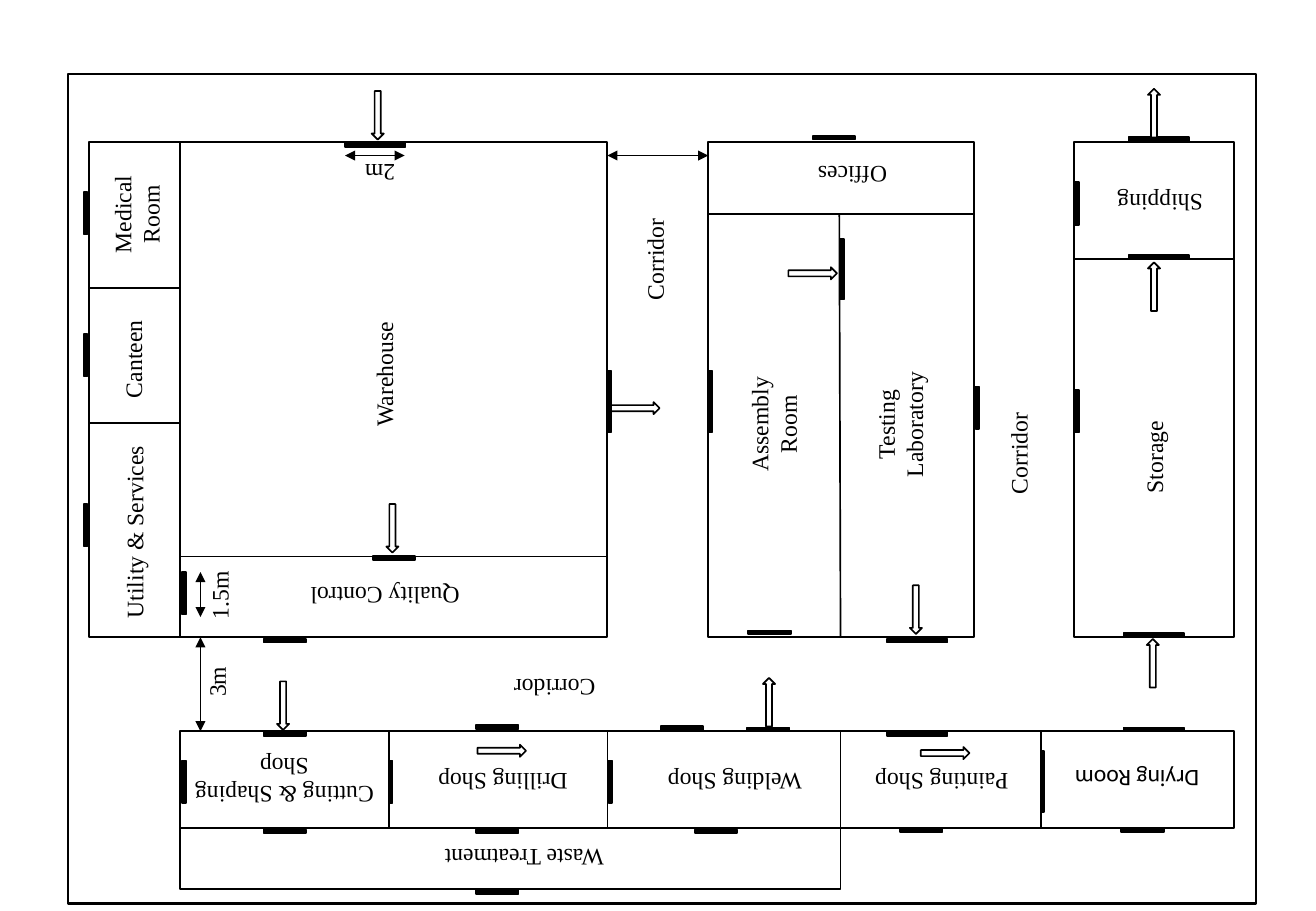
from lxml import etree
from pptx import Presentation
from pptx.dml.color import RGBColor
from pptx.enum.shapes import MSO_CONNECTOR, MSO_SHAPE
from pptx.enum.text import PP_ALIGN
from pptx.oxml.ns import qn
from pptx.util import Pt

RECT, ARROW = MSO_SHAPE.RECTANGLE, MSO_SHAPE.DOWN_ARROW
STRAIGHT = MSO_CONNECTOR.STRAIGHT
LEFT, CENTER = PP_ALIGN.LEFT, PP_ALIGN.CENTER

THEME = {
    "ink": RGBColor(0, 0, 0),
    "paper": RGBColor(255, 255, 255),
    "serif": "Times New Roman",
    "sans": "Calibri",
    "size": 14,
}

prs = Presentation()
prs.slide_width, prs.slide_height = Pt(780), Pt(540)
s = prs.slides.add_slide(prs.slide_layouts[6])


def add_block(kind, x, y, w, h, fill="paper", weight=1, turn=0):
    """Add an outlined shape by its top left corner."""
    sp = s.shapes.add_shape(kind, Pt(x), Pt(y), Pt(w), Pt(h))
    sp.shadow.inherit = False
    sp.fill.solid()
    sp.fill.fore_color.rgb = THEME[fill]
    sp.line.color.rgb = THEME["ink"]
    sp.line.width = Pt(weight)
    sp.rotation = turn


def add_line(x1, y1, x2, y2, weight=1, arrows=False):
    """Add a straight line, with arrowheads at both ends if asked."""
    line = s.shapes.add_connector(STRAIGHT, Pt(x1), Pt(y1), Pt(x2), Pt(y2))
    line.line.color.rgb = THEME["ink"]
    line.line.width = Pt(weight)
    if arrows:
        ln = line.line._get_or_add_ln()
        for end in ("a:headEnd", "a:tailEnd"):
            etree.SubElement(ln, qn(end), type="triangle")
    etree.SubElement(line._element.spPr, qn("a:effectLst"))


# Shared levels of the floor plan
TOP, HALL_TOP, SHOP_TOP, SHOP_END = 84.2, 377.8, 433.4, 491
DEPTH = HALL_TOP - TOP

# Site boundary, then buildings: left, top, width, height
add_block(RECT, 40.3, 43.9, 704.2, 491.8, weight=1.5)
buildings = [
    (106.6, TOP, 253.4, DEPTH),
    (106.6, SHOP_TOP, 625, SHOP_END - SHOP_TOP),
    (419.8, TOP, 157.7, DEPTH),
    (636.5, TOP, 95, DEPTH),
    (106.6, SHOP_END, 391.7, 36),
    (52.6, TOP, 54, DEPTH),
]
for building in buildings:
    add_block(RECT, *building)

# Inner walls
walls = [
    (419.8, 126.7, 577.5, 126.7),
    (498.2, HALL_TOP, 497.5, 126.7),
    (106.6, 329.8, 360, 329.8),
    (636.5, 153.4, 731.5, 153.4),
    (52.6, 250.6, 106.6, 250.6),
    (52.6, 170.6, 106.6, 170.6),
]
walls += [(x, SHOP_TOP, x, SHOP_END) for x in (230.4, 360, 498.2, 617)]
for wall in walls:
    add_line(*wall)

# Door centres, grouped by door length and turn
WIDE, NARROW, DOOR_DEPTH = 36, 25.2, 2.2
doors = {
    (WIDE, 0): [
        (684, 376.2), (686.9, 82.4), (684, 432.4), (686.9, 152.3),
        (543.6, 435.2), (543.6, 379.8), (222.5, 86),
    ],
    (WIDE, 90): [(499, 159.5), (421.2, 238), (361.4, 238), (617.8, 463.3)],
    (NARROW, 0): [
        (233.6, 330.8), (168.8, 379.8), (168.8, 435.2), (455.4, 432.4),
        (456.1, 374.8), (168.8, 492.8), (294.8, 492.8), (424.4, 492.8),
        (294.8, 528.8), (294.8, 430.9), (404.3, 431.6), (546.1, 492.1),
        (677.2, 492.1), (494.3, 81.7),
    ],
    (NARROW, 90): [
        (231.5, 463.3), (361.8, 463.3), (109.1, 351.7), (50.8, 126.4),
        (50.8, 210.6), (50.8, 311.4), (109.1, 463.3), (579.2, 241.6),
        (638.3, 120.6), (638.3, 243.7),
    ],
}
for (length, turn), centres in doors.items():
    for cx, cy in centres:
        add_block(RECT, cx - length / 2, cy - DOOR_DEPTH / 2, length,
                  DOOR_DEPTH, fill="ink", turn=turn)

# Material flow: arrow centres by turn of a down arrow
FLOW_W, FLOW_H = 7.2, 28.8
flows = {
    0: [(223.9, 68.4), (542.9, 361.4), (167.8, 418.3), (232.6, 313.2)],
    180: [(683.3, 393.1), (455.8, 416.2), (684, 169.9), (684, 67)],
    270: [(297.4, 445), (481.7, 162), (376.6, 241.9), (560.2, 446.4)],
}
for turn, centres in flows.items():
    for cx, cy in centres:
        add_block(ARROW, cx - FLOW_W / 2, cy - FLOW_H / 2, FLOW_W, FLOW_H,
                  turn=turn)

# Dimension lines
dimensions = [
    (360, 92.2, 419.8, 92.2),
    (118.8, HALL_TOP, 118.8, SHOP_TOP),
    (204.5, 92.2, 239.8, 92.2),
    (118.8, 339.1, 118.8, 365.8),
]
for dimension in dimensions:
    add_line(*dimension, weight=0.5, arrows=True)

# Labels: text, centre x, centre y, width, turn, height, alignment
ONE, TWO = 24.2, 41.4
labels = [
    ("Warehouse", 227.5, 206.6, 106.6, 270, ONE, LEFT),
    ("Quality Control", 199.1, 353.5, 160.6, 180, ONE, LEFT),
    ("Assembly Room", 458.6, 251.6, 104, 270, TWO, CENTER),
    ("Testing Laboratory", 533.5, 251.6, 108, 270, TWO, CENTER),
    ("Storage", 684, 252, 95, 270, ONE, LEFT),
    ("Shipping", 674.6, 121, 90.7, 180, ONE, LEFT),
    ("Offices", 475.2, 104.4, 115.2, 180, ONE, LEFT),
    ("Utility & Services", 79.6, 315.4, 139, 270, ONE, CENTER),
    ("Waste Treatment", 248, 509, 234, 180, ONE, LEFT),
    ("Cutting & Shaping Shop", 168.5, 463.3, 145.4, 180, TWO, CENTER),
    ("Drilling Shop", 283, 463.7, 121, 180, ONE, LEFT),
    ("Welding Shop", 421.2, 463.7, 122.4, 180, ONE, LEFT),
    ("Painting Shop", 543.6, 463.7, 122.4, 180, ONE, LEFT),
    ("Drying Room", 658.4, 462.2, 118.8, 180, ONE, LEFT),
    ("Canteen", 78.8, 202.3, 81.4, 270, ONE, LEFT),
    ("Medical Room", 81, 127.1, 84.2, 270, TWO, CENTER),
    ("Corridor", 320, 408.2, 79.9, 180, ONE, LEFT),
    ("Corridor", 388.1, 146.2, 77.8, 270, ONE, LEFT),
    ("Corridor", 603.7, 259.2, 81.4, 270, ONE, LEFT),
    ("2m", 220, 103, 42.5, 180, ONE, LEFT),
    ("1.5m", 130, 348.5, 51, 270, ONE, LEFT),
    ("3m", 128.5, 391, 58.3, 270, ONE, LEFT),
]
for text, cx, cy, w, turn, h, align in labels:
    box = s.shapes.add_textbox(Pt(cx - w / 2), Pt(cy - h / 2), Pt(w), Pt(h))
    box.rotation = turn
    tf = box.text_frame
    tf.word_wrap = True
    p = tf.paragraphs[0]
    p.text = text
    p.alignment = align
    p.font.name = THEME["sans" if text == "Drying Room" else "serif"]
    p.font.size = Pt(THEME["size"])
    p.font.color.rgb = THEME["ink"]

prs.save("out.pptx")
